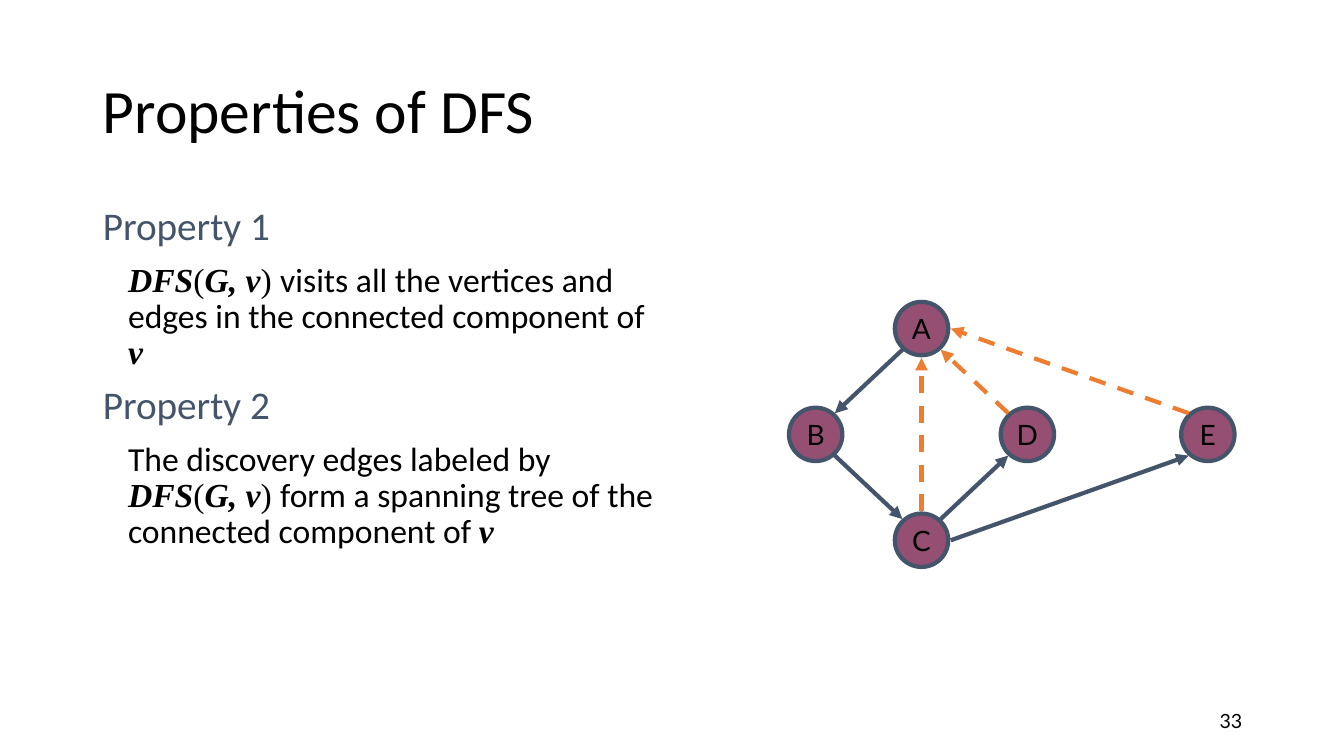
from dataclasses import dataclass

import pptx
import pptx.dml.color
import pptx.enum.dml
import pptx.enum.shapes
import pptx.enum.text
import pptx.oxml.ns
import pptx.util
from lxml import etree

Inches = pptx.util.Inches
Pt = pptx.util.Pt
ALIGN = pptx.enum.text.PP_ALIGN
ANCHOR = pptx.enum.text.MSO_ANCHOR


@dataclass(frozen=True)
class Theme:
    ink: str = "000000"
    slate: str = "44546A"
    orange: str = "ED7D31"
    plum: str = "954F72"
    text_font: str = "Calibri"
    math_font: str = "Times New Roman"
    label_font: str = "Lato"
    title_size: int = 44
    heading_size: int = 28
    body_size: int = 24
    node_size: int = 20
    number_size: int = 14
    line_width: int = 3


NODE_SIZE = 0.53
LEVEL_STEP = 1.05
TOP_X, TOP_Y = 9.14, 3.26
NODE_CENTRES = {
    "A": (TOP_X, TOP_Y),
    "B": (TOP_X - LEVEL_STEP, TOP_Y + LEVEL_STEP),
    "C": (TOP_X, TOP_Y + 2 * LEVEL_STEP),
    "D": (TOP_X + LEVEL_STEP, TOP_Y + LEVEL_STEP),
    "E": (11.98, TOP_Y + LEVEL_STEP),
}
# Offsets from a node's centre to the places where edges meet it.
SIDE, CORNER_X, CORNER_Y = 0.29, 0.19, 0.21
SITES = {
    "top": (0, -SIDE),
    "bottom": (0, SIDE),
    "right": (SIDE, 0),
    "top left": (-CORNER_X, -CORNER_Y),
    "top right": (CORNER_X, -CORNER_Y),
    "bottom left": (-CORNER_X, CORNER_Y),
    "bottom right": (CORNER_X, CORNER_Y),
}
DISCOVERY_EDGES = [
    ("A", "bottom left", "B", "top right"),
    ("B", "bottom right", "C", "top left"),
    ("C", "top right", "D", "bottom left"),
    ("C", "right", "E", "bottom left"),
]
BACK_EDGES = [
    ("D", "top left", "A", "bottom right"),
    ("C", "top", "A", "bottom"),
    ("E", "top left", "A", "right"),
]

DFS_CALL = [("DFS", "variable"), ("(", "math"), ("G, v", "variable"), (") ", "math")]
PROPERTIES = [
    [("Property 1", "heading")],
    DFS_CALL
    + [("visits all the vertices and edges in the connected component of ", "plain"),
       ("v", "variable")],
    [("Property 2", "heading")],
    [("The discovery edges labeled by ", "plain")]
    + DFS_CALL
    + [("form a spanning tree of the connected component of ", "plain"),
       ("v", "variable")],
]


def rgb(colour):
    return pptx.dml.color.RGBColor.from_string(colour)


class SlideBuilder:
    def __init__(self, slide, theme):
        self.slide = slide
        self.theme = theme
        self.graph = None

    def format_font(self, font, name, size, colour, emphasis=False):
        font.name = name
        font.size = Pt(size)
        font.color.rgb = rgb(colour)
        font.bold = font.italic = emphasis

    def place(self, shape, left, top, width, height):
        shape.left, shape.top = Inches(left), Inches(top)
        shape.width, shape.height = Inches(width), Inches(height)

    def title(self, text, *box):
        shape = self.slide.shapes.title
        self.place(shape, *box)
        frame = shape.text_frame
        frame.text = text
        frame.auto_size = pptx.enum.text.MSO_AUTO_SIZE.NONE
        frame.vertical_anchor = ANCHOR.MIDDLE
        paragraph = frame.paragraphs[0]
        paragraph.alignment = ALIGN.LEFT
        paragraph.line_spacing = 0.9
        self.format_font(paragraph.runs[0].font, self.theme.text_font,
                         self.theme.title_size, self.theme.ink)

    def body(self, paragraphs, *box):
        """Fill the body placeholder with paragraphs of (text, style) pieces."""
        theme = self.theme
        styles = {
            "heading": (theme.text_font, theme.heading_size, theme.slate),
            "plain": (theme.text_font, theme.body_size, theme.ink),
            "math": (theme.math_font, theme.body_size, theme.ink),
            "variable": (theme.math_font, theme.body_size, theme.ink, True),
        }
        shape = self.slide.placeholders[1]
        self.place(shape, *box)
        frame = shape.text_frame
        frame.auto_size = pptx.enum.text.MSO_AUTO_SIZE.NONE
        for index, pieces in enumerate(paragraphs):
            paragraph = frame.add_paragraph() if index else frame.paragraphs[0]
            is_heading = pieces[0][1] == "heading"
            properties = paragraph._p.get_or_add_pPr()
            properties.set("marL", str(Inches(0 if is_heading else 0.25)))
            properties.set("indent", "0")
            etree.SubElement(properties, pptx.oxml.ns.qn("a:buNone"))
            paragraph.line_spacing = 0.9
            paragraph.space_before = Pt(10 if index else 0)
            for text, style in pieces:
                run = paragraph.add_run()
                run.text = text
                self.format_font(run.font, *styles[style])

    def slide_number(self, text, *box):
        shape = self.slide.shapes.add_textbox(*map(Inches, box))
        frame = shape.text_frame
        frame.word_wrap = True
        frame.vertical_anchor = ANCHOR.MIDDLE
        frame.text = text
        paragraph = frame.paragraphs[0]
        paragraph.alignment = ALIGN.RIGHT
        self.format_font(paragraph.runs[0].font, self.theme.label_font,
                         self.theme.number_size, self.theme.ink)

    def start_graph(self):
        self.graph = self.slide.shapes.add_group_shape().shapes

    def node(self, label, x, y):
        shape = self.graph.add_shape(
            pptx.enum.shapes.MSO_SHAPE.OVAL,
            Inches(x - NODE_SIZE / 2), Inches(y - NODE_SIZE / 2),
            Inches(NODE_SIZE), Inches(NODE_SIZE))
        shape.shadow.inherit = False
        shape.fill.solid()
        shape.fill.fore_color.rgb = rgb(self.theme.plum)
        shape.line.color.rgb = rgb(self.theme.slate)
        shape.line.width = Pt(self.theme.line_width)
        frame = shape.text_frame
        frame.word_wrap = False
        frame.vertical_anchor = ANCHOR.MIDDLE
        frame.text = label
        paragraph = frame.paragraphs[0]
        paragraph.alignment = ALIGN.CENTER
        self.format_font(paragraph.runs[0].font, self.theme.label_font,
                         self.theme.node_size, self.theme.ink)

    def edge(self, source, source_site, target, target_site, colour, dashed=False):
        ends = []
        for node, site in ((source, source_site), (target, target_site)):
            ends += [Inches(centre + offset)
                     for centre, offset in zip(NODE_CENTRES[node], SITES[site])]
        connector = self.graph.add_connector(
            pptx.enum.shapes.MSO_CONNECTOR.STRAIGHT, *ends)
        line = connector.line
        line.color.rgb = rgb(colour)
        line.width = Pt(self.theme.line_width)
        if dashed:
            line.dash_style = pptx.enum.dml.MSO_LINE.DASH
        properties = connector._element.spPr
        etree.SubElement(properties.find(pptx.oxml.ns.qn("a:ln")),
                         pptx.oxml.ns.qn("a:tailEnd"), type="triangle")
        etree.SubElement(properties, pptx.oxml.ns.qn("a:effectLst"))


def main():
    presentation = pptx.Presentation()
    presentation.slide_width = Inches(13.33)
    presentation.slide_height = Inches(7.5)
    theme = Theme()
    slide = presentation.slides.add_slide(presentation.slide_layouts[1])
    builder = SlideBuilder(slide, theme)

    builder.title("Properties of DFS", 0.92, 0.4, 11.5, 1.45)
    builder.body(PROPERTIES, 0.92, 2, 5.67, 4.76)
    builder.slide_number("33", 9.42, 6.95, 3, 0.4)
    builder.start_graph()
    for label, (x, y) in NODE_CENTRES.items():
        builder.node(label, x, y)
    for edge in DISCOVERY_EDGES:
        builder.edge(*edge, theme.slate)
    for edge in BACK_EDGES:
        builder.edge(*edge, theme.orange, dashed=True)

    presentation.save("out.pptx")


if __name__ == "__main__":
    main()
